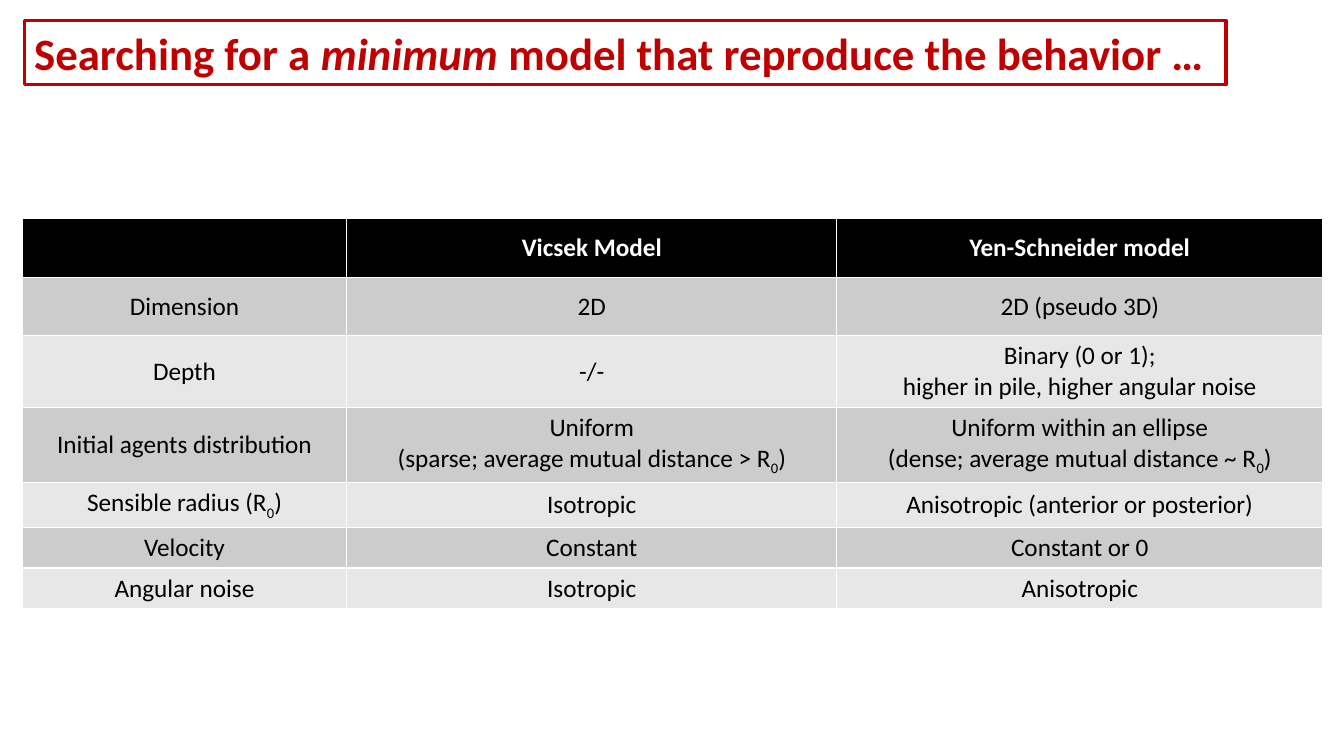
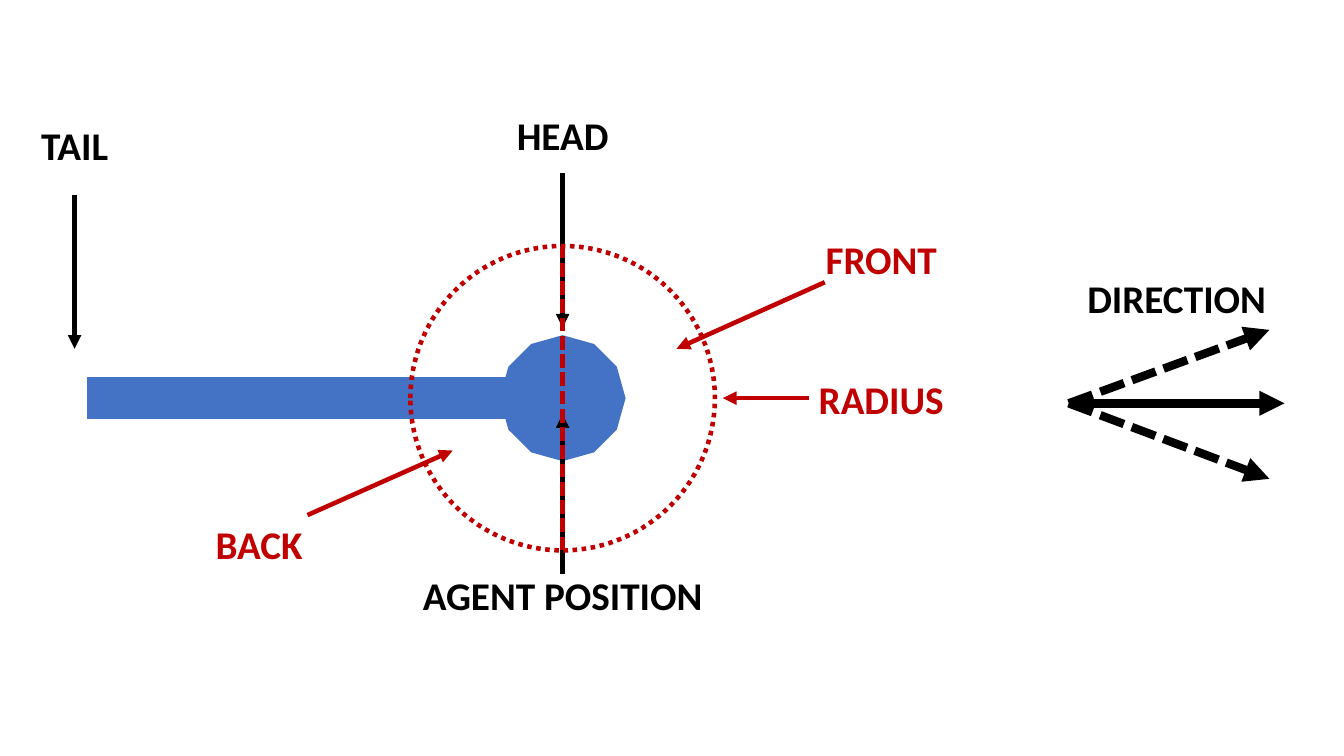
from pptx import Presentation
from pptx.dml.color import RGBColor as Rgb
from pptx.enum.dml import MSO_LINE as Dash
from pptx.enum.shapes import MSO_CONNECTOR as Link, MSO_SHAPE as Kind
from pptx.enum.text import MSO_ANCHOR as Anchor, MSO_AUTO_SIZE as Fit, PP_ALIGN as Align
from pptx.oxml.ns import qn
from pptx.util import Inches, Pt
from lxml.etree import SubElement

HUES = {"ink": "000000", "paper": "FFFFFF", "red": "C00000",
        "blue": "4472C4", "dark": "CCCCCC", "pale": "E7E7E7"}
FONT = "Calibri"
COLS, ROWS = 133.3, 75
TRACKS = (32.2, 48.6, 48.2)
BANDS = (5.8, 5.8, 7, 7.5, 4.4, 4, 4)
MODELS = [
    ("", "Vicsek Model", "Yen-Schneider model"),
    ("Dimension", "2D", "2D (pseudo 3D)"),
    ("Depth", "-/-", "Binary (0 or 1);\nhigher in pile, higher angular noise"),
    ("Initial agents distribution",
     "Uniform\n(sparse; average mutual distance > R_0_)",
     "Uniform within an ellipse\n(dense; average mutual distance ~ R_0_)"),
    ("Sensible radius (R_0_)", "Isotropic", "Anisotropic (anterior or posterior)"),
    ("Velocity", "Constant", "Constant or 0"),
    ("Angular noise", "Isotropic", "Anisotropic"),
]


def grid(*cells):
    """Turn grid steps, ten to the inch, into lengths."""
    return [Inches(cell / 10) for cell in cells]


def hue(name):
    """Look up a named colour."""
    return Rgb.from_string(HUES[name])


def write(para, text, size, color, bold=False, mark="sub"):
    """Add text run by run, styling the parts between underscores."""
    for i, part in enumerate(text.split("_")):
        run = para.add_run()
        run.text = part
        font = run.font
        font.name, font.size, font.bold = FONT, Pt(size), bold
        font.color.rgb = hue(color)
        if i % 2 and mark == "sub":
            run._r.get_or_add_rPr().set("baseline", "-25000")
        elif i % 2:
            font.italic = True


def stroke(line, color, width, dash=None):
    """Style a line or an outline."""
    line.color.rgb = hue(color)
    line.width = Pt(width)
    if dash:
        line.dash_style = dash


def link(slide, start, stop, color="ink", width=3.25, dash=None, head=None, tail="triangle"):
    """Draw a straight line with optional end marks."""
    wire = slide.shapes.add_connector(Link.STRAIGHT, *grid(*start, *stop))
    stroke(wire.line, color, width, dash)
    edge = wire.line._get_or_add_ln()
    for end, form in (("a:headEnd", head), ("a:tailEnd", tail)):
        if form:
            SubElement(edge, qn(end), type=form)
    SubElement(wire._element.spPr, qn("a:effectLst"))


def label(slide, text, mid, top, width, color="ink"):
    """Place a bold label centred on a column."""
    box = slide.shapes.add_textbox(*grid(mid - width / 2, top, width, 5.7))
    frame = box.text_frame
    frame.word_wrap = True
    para = frame.paragraphs[0]
    para.alignment = Align.CENTER
    write(para, text, 28, color, True)


def title(slide, box, text):
    """Draw the framed red heading."""
    bar = slide.shapes.add_shape(Kind.RECTANGLE, *grid(*box))
    bar.shadow.inherit = False
    bar.fill.solid()
    bar.fill.fore_color.rgb = hue("paper")
    stroke(bar.line, "red", 2.25)
    frame = bar.text_frame
    frame.word_wrap, frame.auto_size = False, Fit.SHAPE_TO_FIT_TEXT
    para = frame.paragraphs[0]
    para.alignment = Align.LEFT
    write(para, text, 32, "red", True, "slant")


def chart(slide, box, data):
    """Fill a banded comparison table."""
    table = slide.shapes.add_table(len(data), len(data[0]), *grid(*box)).table
    for col, size in zip(table.columns, grid(*TRACKS)):
        col.width = size
    for row, size in zip(table.rows, grid(*BANDS)):
        row.height = size
    for i, line in enumerate(data):
        for j, text in enumerate(line):
            cell = table.cell(i, j)
            cell.vertical_anchor = Anchor.MIDDLE
            cell.fill.solid()
            cell.fill.fore_color.rgb = hue("ink" if i == 0 else "dark" if i % 2 else "pale")
            for k, part in enumerate(text.split("\n") if text else []):
                frame = cell.text_frame
                para = frame.add_paragraph() if k else frame.paragraphs[0]
                para.alignment = Align.CENTER
                write(para, part, 18, "ink" if i else "paper", i == 0)


def agent(slide, box):
    """Draw the agent, its sensing ring and the labels about its centre."""
    left, top, wide, high = box
    x, y = left + wide / 2, top + high / 2
    ring, end = 15.1, -48.4

    def spot(dx, dy):
        """Shift a point from the centre."""
        return x + dx, y + dy

    link(slide, spot(0, 0), spot(-47.2, 0), "blue", 30, head="oval", tail=None)
    for start, stop, color in (
            ((0, -22.3), (0, -7), "ink"), ((end, -20.2), (end, -4.9), "ink"),
            ((0, 17.4), (0, 1.6), "ink"), ((24.4, 0), (15.9, 0), "red"),
            ((-25.3, 11.6), (-10.9, 5.2), "red"), ((26, -11.5), (11.3, -4.9), "red")):
        link(slide, spot(*start), spot(*stop), color)
    link(slide, spot(0, ring), spot(0, -ring), "red", dash=Dash.SQUARE_DOT, tail=None)
    zone = slide.shapes.add_shape(Kind.OVAL, *grid(*spot(-ring, -ring), 2 * ring, 2 * ring))
    zone.shadow.inherit = False
    zone.fill.background()
    stroke(zone.line, "red", 3.25, Dash.ROUND_DOT)
    for text, dx, dy, span, color in (
            ("HEAD", 0, -28.9, 12.1, "ink"), ("TAIL", end, -28, 12.1, "ink"),
            ("AGENT POSITION", 0, 16.7, 33.2, "ink"), ("RADIUS", 31.6, -2.8, 16.3, "red"),
            ("FRONT", 31.6, -16.6, 16.3, "red"), ("BACK", -30.1, 11.6, 16.3, "red")):
        label(slide, text, *spot(dx, dy), span, color)


def fan(slide, box):
    """Draw the three headings and their label."""
    left, top, wide, high = box
    base = left, top + high * 0.64
    link(slide, base, (left + wide, base[1]), width=6)
    for drop in (0.29, 1):
        link(slide, base, (left + wide * 0.93, top + high * drop), width=6, dash=Dash.SQUARE_DOT)
    label(slide, "DIRECTION", left + wide / 2, top, 33.2)


def main():
    """Build both slides and save them."""
    deck = Presentation()
    deck.slide_width, deck.slide_height = grid(COLS, ROWS)
    first, second = (deck.slides.add_slide(deck.slide_layouts[6]) for _ in range(2))
    chart(first, (2.2, 21.7, sum(TRACKS), sum(BANDS)), MODELS)
    title(first, (2.4, 2, 119.2, 6.4),
          "Searching for a _minimum_ model that reproduce the behavior …")
    agent(second, (7, 9.5, 97.6, 60))
    fan(second, (106, 26.7, 21.4, 20.8))
    deck.save("out.pptx")


if __name__ == "__main__":
    main()
